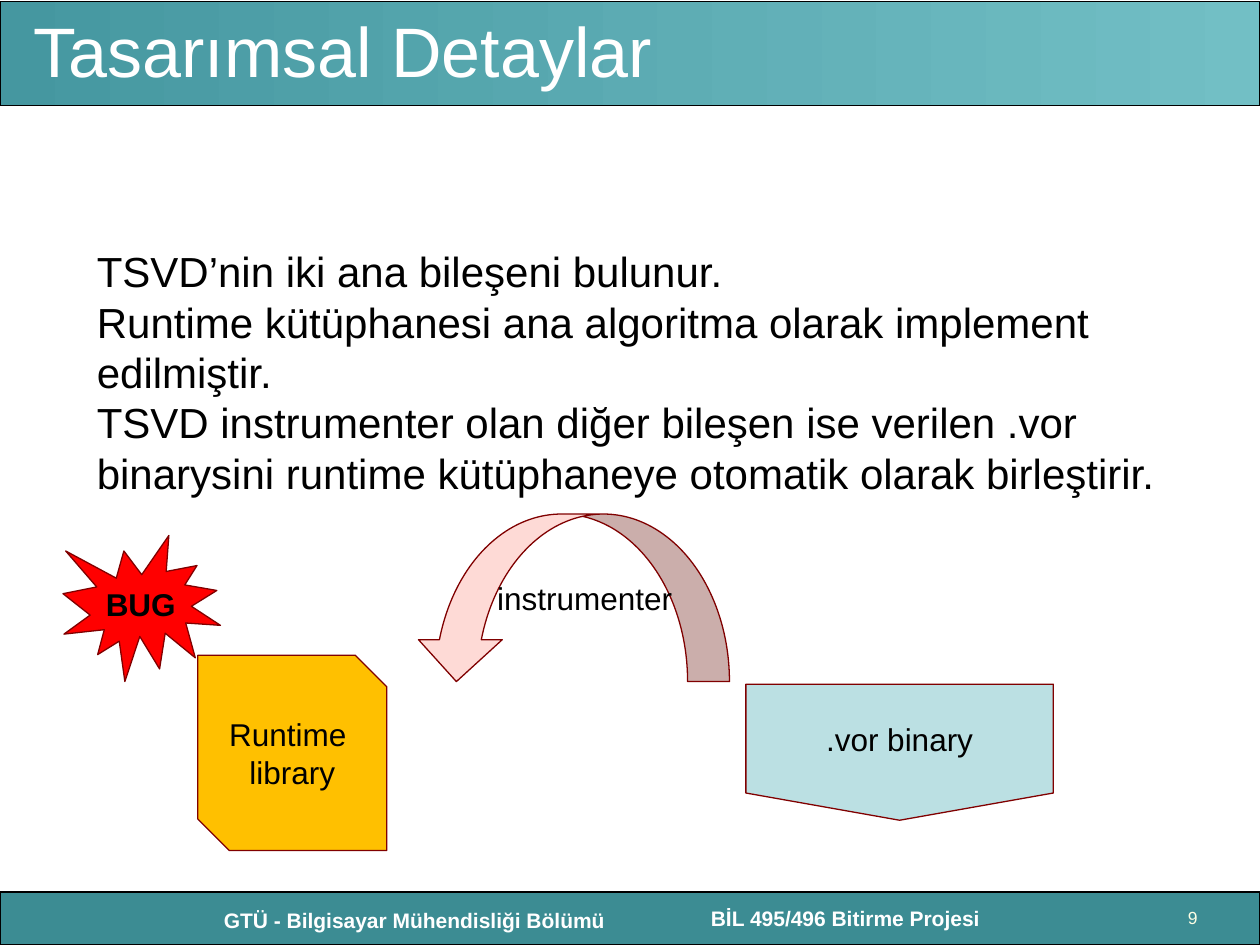
from pptx import Presentation
from pptx.dml.color import RGBColor
from pptx.enum.shapes import MSO_SHAPE
from pptx.enum.text import MSO_ANCHOR, PP_ALIGN
from pptx.util import Inches, Pt

TITLE = "Tasarımsal Detaylar"
BODY = [
    "TSVD’nin iki ana bileşeni bulunur.",
    "Runtime kütüphanesi ana algoritma olarak implement edilmiştir.",
    "TSVD instrumenter olan diğer bileşen ise verilen .vor "
    "binarysini runtime kütüphaneye otomatik olarak birleştirir.",
]
FOOTERS = [
    ("GTÜ - Bilgisayar Mühendisliği Bölümü", (1.58, 7.15, 3.42, 0.3)),
    ("BİL 495/496 Bitirme Projesi", (5, 7.14, 3.42, 0.3)),
]
PAGE = "9"
DIAGRAM = [
    (MSO_SHAPE.FLOWCHART_OFFPAGE_CONNECTOR, (5.92, 5.43, 2.44, 1.08), "BBE0E3", [".vor binary"], {}),
    (MSO_SHAPE.SNIP_2_DIAG_RECTANGLE, (1.57, 5.2, 1.5, 1.55), "FFC000", ["Runtime ", "library"], {}),
    (MSO_SHAPE.CURVED_DOWN_ARROW, (3.29, 4.08, 2.5, 1.33), "FEDAD6", ["instrumenter"], {"left": 0.3}),
    (MSO_SHAPE.EXPLOSION1, (0.5, 4.25, 1.25, 1.16), "FF0000", ["BUG"], {"bold": True}),
]


def color(value):
    """Turn a hex string into a colour."""
    return RGBColor.from_string(value)


def write(holder, lines, size=18, ink="000000", bold=False, align=PP_ALIGN.LEFT,
          anchor=MSO_ANCHOR.TOP, wrap=True, left=0.1, top=0.05, spacing=None):
    """Write lines as paragraphs in one format."""
    frame = holder.text_frame
    frame.word_wrap = wrap
    frame.vertical_anchor = anchor
    frame.margin_left, frame.margin_top = Inches(left), Inches(top)
    for index, line in enumerate(lines):
        paragraph = frame.add_paragraph() if index else frame.paragraphs[0]
        paragraph.alignment = align
        paragraph.line_spacing = spacing
        run = paragraph.add_run()
        run.text = line
        run.font.name, run.font.size, run.font.bold = "Arial", Pt(size), bold
        run.font.color.rgb = color(ink)


def add_box(place, lines, **style):
    """Add a text box."""
    write(slide.shapes.add_textbox(*map(Inches, place)), lines, **style)


def add_figure(kind, place, fill, outline):
    """Add a filled, outlined shape."""
    figure = slide.shapes.add_shape(kind, *map(Inches, place))
    figure.shadow.inherit = False
    figure.fill.solid()
    figure.fill.fore_color.rgb = color(fill)
    figure.line.color.rgb = color(outline)
    figure.line.width = Pt(0.75)
    return figure


deck = Presentation()
deck.slide_width, deck.slide_height = Inches(10), Inches(7.5)
slide = deck.slides.add_slide(deck.slide_layouts[6])

add_figure(MSO_SHAPE.RECTANGLE, (0, 7.08, 10, 0.42), "3C8C93", "000000")
header = add_figure(MSO_SHAPE.RECTANGLE, (0, 0.01, 10, 0.83), "4597A0", "000000")
header.fill.gradient()
header.fill.gradient_angle = 0
for stop, (position, shade) in zip(header.fill.gradient_stops, [(0, "4597A0"), (1, "72BFC5")]):
    stop.position = position
    stop.color.rgb = color(shade)

for footer, place in FOOTERS:
    add_box(place, [footer], size=12, ink="FFFFFF", bold=True, align=PP_ALIGN.CENTER)
add_box((9.33, 7.17, 0.5, 0.08), [PAGE], size=10, ink="FFFFE5")
add_box((0.17, 0.12, 8.58, 0.63), [TITLE], size=40, ink="FFFFFF",
        anchor=MSO_ANCHOR.MIDDLE, spacing=0.9)
add_box((0.67, 1.5, 8.92, 3.33), BODY, size=24, top=0.45)

for kind, place, fill, label, style in DIAGRAM:
    part = add_figure(kind, place, fill, "800000")
    if kind == MSO_SHAPE.CURVED_DOWN_ARROW:
        part._element.spPr.xfrm.set("flipH", "1")
    write(part, label, align=PP_ALIGN.CENTER, anchor=MSO_ANCHOR.MIDDLE, wrap=False, **style)

deck.save("out.pptx")
